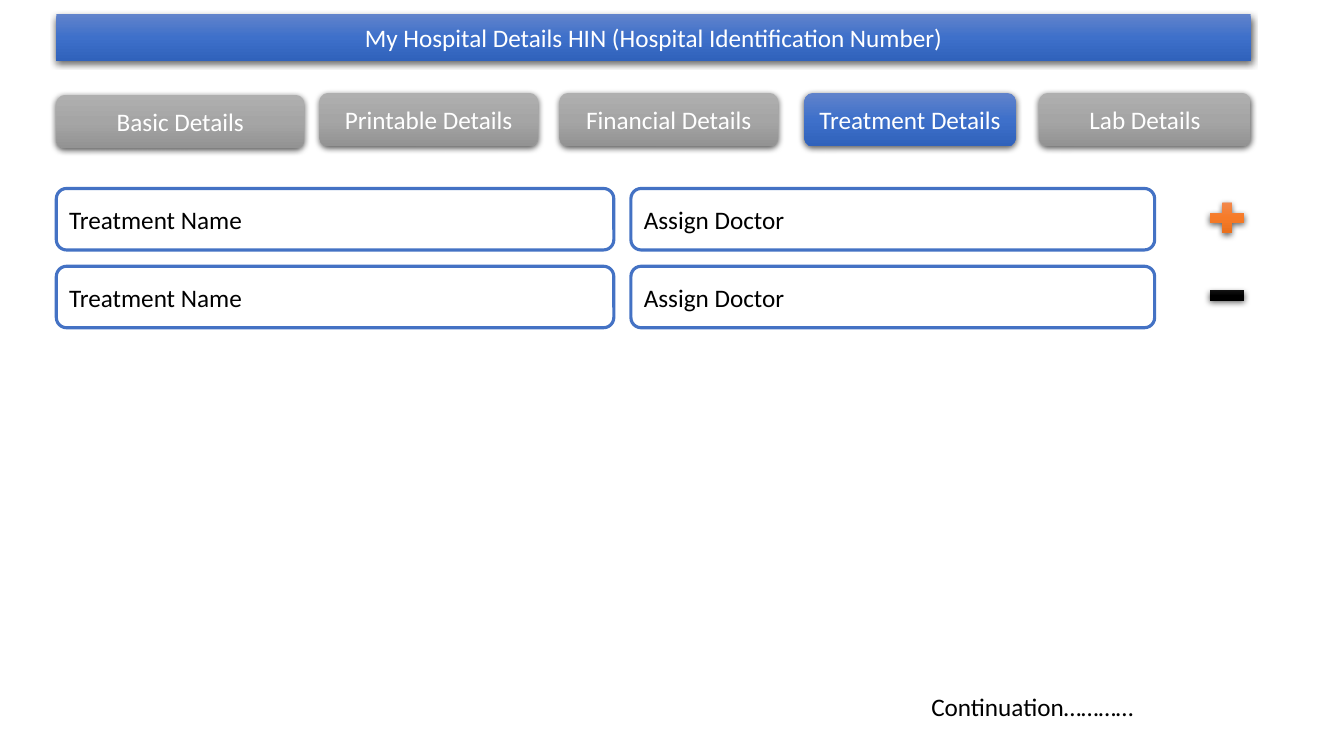
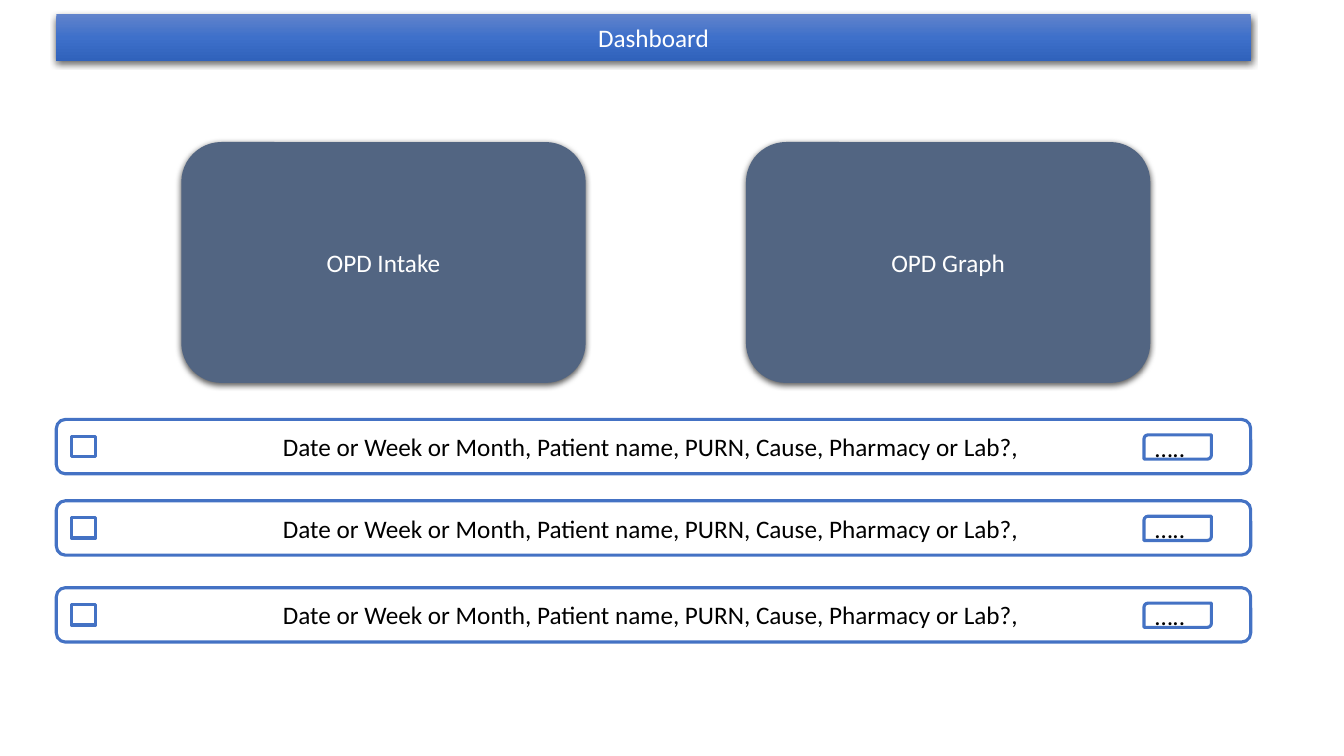
from copy import deepcopy

from lxml import etree
from pptx import Presentation
from pptx.dml.color import RGBColor
from pptx.enum.shapes import MSO_SHAPE
from pptx.enum.text import MSO_ANCHOR, MSO_AUTO_SIZE, PP_ALIGN
from pptx.oxml.ns import qn
from pptx.util import Cm, Pt

ROUNDED = MSO_SHAPE.ROUNDED_RECTANGLE
RECTANGLE = MSO_SHAPE.RECTANGLE
DIAGONAL = MSO_SHAPE.ROUND_2_DIAG_RECTANGLE
PLUS = MSO_SHAPE.MATH_PLUS
MINUS = MSO_SHAPE.MATH_MINUS
LEFT, CENTER = PP_ALIGN.LEFT, PP_ALIGN.CENTER
MIDDLE, TOP = MSO_ANCHOR.MIDDLE, MSO_ANCHOR.TOP
FIXED_SIZE = MSO_AUTO_SIZE.NONE

WHITE = RGBColor(0xFF, 0xFF, 0xFF)
BLACK = RGBColor(0x00, 0x00, 0x00)
OUTLINE_BLUE = RGBColor(0x44, 0x72, 0xC4)
SLATE = RGBColor(0x52, 0x65, 0x82)
BLUE_SHADES = (RGBColor(0x61, 0x83, 0xCB), RGBColor(0x3E, 0x70, 0xCA), RGBColor(0x30, 0x62, 0xBB))
GREY_SHADES = (RGBColor(0xAF, 0xAF, 0xAF), RGBColor(0xA5, 0xA5, 0xA5), RGBColor(0x93, 0x93, 0x93))
ORANGE_SHADES = (RGBColor(0xF1, 0x8C, 0x57), RGBColor(0xF6, 0x7B, 0x28), RGBColor(0xE5, 0x6C, 0x19))
BLACK_SHADES = (RGBColor(0x4B, 0x4B, 0x4B), BLACK, BLACK)

FONT = "Calibri"
TITLE_ONLY = 5
MARGIN = 1.42
CONTENT_WIDTH = 30.1


def write(shape, text, color=BLACK, align=LEFT, anchor=MIDDLE, size=18):
    frame = shape.text_frame
    frame.word_wrap = True
    frame.auto_size = FIXED_SIZE
    frame.vertical_anchor = anchor
    paragraph = frame.paragraphs[0]
    paragraph.text = text
    paragraph.alignment = align
    paragraph.font.name = FONT
    paragraph.font.size = Pt(size)
    paragraph.font.color.rgb = color


def place(shape, left, top, width, height):
    shape.left, shape.top = Cm(left), Cm(top)
    shape.width, shape.height = Cm(width), Cm(height)


def fill_gradient(shape, shades):
    """Fill from top to bottom with three evenly spaced shades."""
    shape.fill.gradient()
    shape.fill.gradient_angle = 270
    stop_list = shape.fill._xPr.find(".//" + qn("a:gsLst"))
    stop_list.append(deepcopy(stop_list[0]))
    for position, (stop, shade) in enumerate(zip(shape.fill.gradient_stops, shades)):
        stop.position = position / 2
        stop.color.rgb = shade


def cast_shadow(shape):
    shape.shadow.inherit = False
    effects = shape.element.spPr.find(qn("a:effectLst"))
    shadow = etree.SubElement(effects, qn("a:outerShdw"), blurRad="57150", dist="19050",
                              dir="5400000", algn="ctr", rotWithShape="0")
    color = etree.SubElement(shadow, qn("a:srgbClr"), val="000000")
    etree.SubElement(color, qn("a:alpha"), val="63000")


def add_raised(slide, kind, box, shades=None, text=None):
    """Add a shadowed shape with a gradient, or slate when no shades are given."""
    shape = slide.shapes.add_shape(kind, *map(Cm, box))
    if shades:
        fill_gradient(shape, shades)
    else:
        shape.fill.solid()
        shape.fill.fore_color.rgb = SLATE
    shape.line.fill.background()
    cast_shadow(shape)
    if text:
        write(shape, text, color=WHITE, align=CENTER)


def add_outlined(slide, kind, box, text=None, align=LEFT):
    shape = slide.shapes.add_shape(kind, *map(Cm, box))
    shape.shadow.inherit = False
    shape.fill.solid()
    shape.fill.fore_color.rgb = WHITE
    shape.line.color.rgb = OUTLINE_BLUE
    shape.line.width = Pt(2.25)
    if text:
        write(shape, text, align=align)


def add_titled_slide(deck, text):
    """Add a slide whose title placeholder is the rounded blue band."""
    slide = deck.slides.add_slide(deck.slide_layouts[TITLE_ONLY])
    title = slide.shapes.title
    place(title, MARGIN, 0.36, CONTENT_WIDTH, 1.17)
    outline = etree.SubElement(title.element.spPr, qn("a:prstGeom"), prst="roundRect")
    etree.SubElement(outline, qn("a:avLst"))
    fill_gradient(title, BLUE_SHADES)
    cast_shadow(title)
    write(title, text, color=WHITE, align=CENTER)
    return slide


def build_treatment_details(deck):
    slide = add_titled_slide(deck, "My Hospital Details HIN (Hospital Identification Number)")
    tabs = (
        ("Basic Details", MARGIN, 2.39, 6.25),
        ("Printable Details", 8.05, 2.34, 5.51),
        ("Financial Details", 14.1, 2.34, 5.51),
        ("Treatment Details", 20.27, 2.34, 5.33),
        ("Lab Details", 26.19, 2.34, 5.33),
    )
    for label, left, top, width in tabs:
        shades = BLUE_SHADES if label == "Treatment Details" else GREY_SHADES
        add_raised(slide, ROUNDED, (left, top, width, 1.35), shades, label)

    for row, (icon, shades) in enumerate(((PLUS, ORANGE_SHADES), (MINUS, BLACK_SHADES))):
        top = 4.75 + 1.96 * row
        add_outlined(slide, ROUNDED, (MARGIN, top, 14.05, 1.55), "Treatment Name")
        add_outlined(slide, ROUNDED, (15.9, top, 13.2, 1.55), "Assign Doctor")
        add_raised(slide, icon, (30.33, top + 0.23, 1.19, 1.02), shades)

    continuation = slide.shapes.add_textbox(Cm(23.22), Cm(17.3), Cm(8.3), Cm(1.02))
    write(continuation, "Continuation…………", anchor=TOP)


def build_dashboard(deck):
    slide = add_titled_slide(deck, "Dashboard")
    for label, left in (("OPD Intake", 4.57), ("OPD Graph", 18.8)):
        add_raised(slide, ROUNDED, (left, 3.58, 10.19, 6.07), text=label)

    for top in (10.57, 12.62, 14.81):
        add_outlined(slide, ROUNDED, (MARGIN, top, CONTENT_WIDTH, 1.37),
                     "Date or Week or Month, Patient name, PURN, Cause, Pharmacy or Lab?, ",
                     align=CENTER)
        add_outlined(slide, DIAGONAL, (28.83, top + 0.39, 1.7, 0.61), "…..")
        add_outlined(slide, RECTANGLE, (1.8, top + 0.43, 0.61, 0.51))


def main():
    deck = Presentation()
    deck.slide_width, deck.slide_height = Cm(33.87), Cm(19.05)
    build_treatment_details(deck)
    build_dashboard(deck)
    deck.save("out.pptx")


if __name__ == "__main__":
    main()
